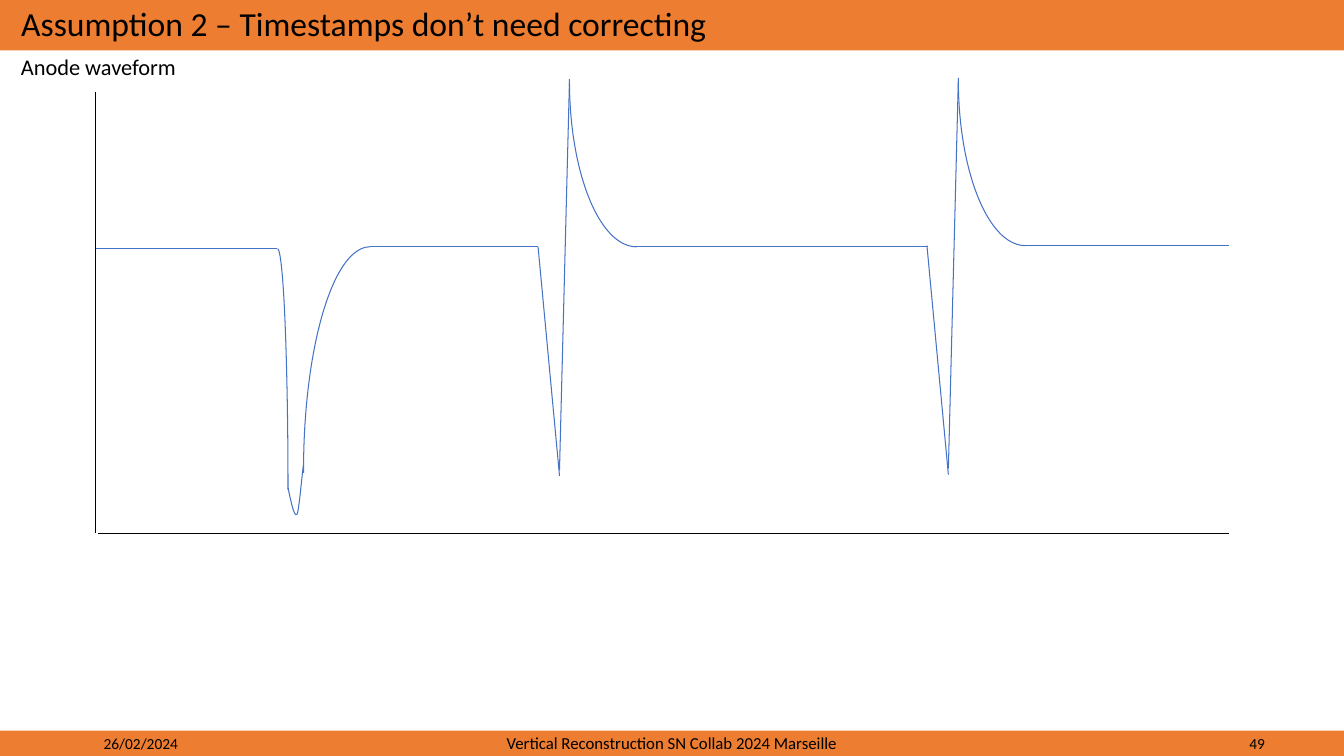
from dataclasses import dataclass

from lxml.etree import SubElement
from pptx import Presentation
from pptx.dml.color import RGBColor
from pptx.enum.shapes import MSO_CONNECTOR, MSO_SHAPE
from pptx.enum.text import MSO_ANCHOR, MSO_AUTO_SIZE, PP_ALIGN
from pptx.oxml.ns import qn
from pptx.util import Cm, Pt


@dataclass(frozen=True)
class Theme:
    font: str = "Calibri"
    bar: RGBColor = RGBColor(0xED, 0x7D, 0x31)
    ink: RGBColor = RGBColor(0, 0, 0)
    wave: RGBColor = RGBColor(0x44, 0x72, 0xC4)
    title_size: int = 24
    label_size: int = 16
    footer_size: int = 12
    small_size: int = 11
    line_width: float = 0.75


THEME = Theme()

# All lengths are in centimetres.
SLIDE_WIDTH, SLIDE_HEIGHT = 33.87, 19.05
TITLE_HEIGHT, FOOTER_HEIGHT = 1.27, 0.64
FOOTER_TOP = SLIDE_HEIGHT - FOOTER_HEIGHT
BARS = [(0, TITLE_HEIGHT), (FOOTER_TOP, FOOTER_HEIGHT)]

TITLE = "Assumption 2 – Timestamps don’t need correcting"
TITLE_BOX = (0.28, 0, 29.21, TITLE_HEIGHT)
LABEL = "Anode waveform"
LABEL_BOX = (0.28, 1.22, 4.47, 0.94)
FOOTERS = [
    ("26/02/2024", 2.36, 7.62, PP_ALIGN.LEFT, THEME.small_size),
    ("Vertical Reconstruction SN Collab 2024 Marseille", 11.22, 11.43,
     PP_ALIGN.CENTER, THEME.footer_size),
    ("49", 24.51, 7.62, PP_ALIGN.RIGHT, THEME.small_size),
]

AXES = [((2.41, 2.31), (2.41, 13.44)), ((30.96, 13.44), (2.46, 13.44))]
BASELINES = [((2.41, 6.27), (6.99, 6.27)), ((9.32, 6.22), (13.56, 6.22))]
FALL_ARC = (6.73, 6.27, 0.53, 12.14)
RECOVERY_ARC = (7.65, 6.22, 3.35, 11.3)
TROUGH_CURVES = [
    [(7.26, 12.29), (7.34, 12.67), (7.42, 13.06), (7.49, 12.95)],
    [(7.49, 12.95), (7.54, 12.85), (7.62, 11.86), (7.65, 11.71)],
]
# Start of each pulse and right end of the baseline that follows it.
PULSES = [(13.56, 6.22, 23.39), (23.36, 6.19, 30.96)]


def box_of(lengths):
    return [Cm(length) for length in lengths]


def format_text(shape, text, size, align=PP_ALIGN.LEFT, anchor=MSO_ANCHOR.MIDDLE):
    frame = shape.text_frame
    frame.text = text
    frame.vertical_anchor = anchor
    paragraph = frame.paragraphs[0]
    paragraph.alignment = align
    font = paragraph.runs[0].font
    font.name, font.size = THEME.font, Pt(size)
    font.color.rgb = THEME.ink
    return frame


def format_line(shape, color):
    shape.line.color.rgb = color
    shape.line.width = Pt(THEME.line_width)


def add_line(shapes, start, end, color=THEME.wave):
    connector = shapes.add_connector(
        MSO_CONNECTOR.STRAIGHT, *box_of(start), *box_of(end))
    format_line(connector, color)
    SubElement(connector._element.spPr, qn("a:effectLst"))


def add_arc(shapes, box, start=270, end=0, rotation=0):
    """Draw an unfilled arc clockwise between two angles in degrees."""
    arc = shapes.add_shape(MSO_SHAPE.ARC, *box_of(box))
    arc.adjustments[0], arc.adjustments[1] = start * 0.6, end * 0.6
    arc.rotation = rotation
    arc.shadow.inherit = False
    arc.fill.background()
    format_line(arc, THEME.wave)


def bezier_point(points, t):
    weights = ((1 - t) ** 3, 3 * t * (1 - t) ** 2, 3 * t ** 2 * (1 - t), t ** 3)
    return tuple(Cm(sum(weight * point[axis] for weight, point in zip(weights, points)))
                 for axis in (0, 1))


def add_trough(shapes, steps=12):
    points = [bezier_point(curve, step / steps)
              for curve in TROUGH_CURVES for step in range(steps + 1)]
    builder = shapes.build_freeform(*points[0])
    builder.add_line_segments(points[1:], close=False)
    trough = builder.convert_to_shape()
    trough.shadow.inherit = False
    trough.fill.background()
    format_line(trough, THEME.wave)


def add_pulse(shapes, left, baseline, tail_end):
    """Draw the sharp dip, the spike, its decay and the flat tail."""
    dip, peak = left + 0.54, left + 0.79
    decay_height = 8.36
    add_line(shapes, (left, baseline), (dip, baseline + 5.77))
    add_line(shapes, (peak, baseline - 4.14), (dip, baseline + 5.62))
    add_arc(shapes, (peak, baseline - decay_height, 3.38, decay_height),
            end=1.6, rotation=180)
    add_line(shapes, (left + 2.42, baseline), (tail_end, baseline))


def add_waveform(slide):
    shapes = slide.shapes.add_group_shape().shapes
    for start, end in BASELINES:
        add_line(shapes, start, end)
    add_arc(shapes, FALL_ARC)
    add_arc(shapes, RECOVERY_ARC, start=178.4, end=270)
    add_trough(shapes)
    for pulse in PULSES:
        add_pulse(shapes, *pulse)
    for start, end in AXES:
        add_line(shapes, start, end, THEME.ink)


def add_frame(slide):
    for top, height in BARS:
        bar = slide.shapes.add_shape(
            MSO_SHAPE.RECTANGLE, *box_of((0, top, SLIDE_WIDTH, height)))
        bar.shadow.inherit = False
        bar.fill.solid()
        bar.fill.fore_color.rgb = THEME.bar
        bar.line.fill.background()

    title = slide.shapes.title
    slide.shapes._spTree.append(title._element)  # bring in front of the bar
    title.left, title.top, title.width, title.height = box_of(TITLE_BOX)
    frame = format_text(title, TITLE, THEME.title_size)
    frame.auto_size = MSO_AUTO_SIZE.NONE
    frame.paragraphs[0].line_spacing = 0.9

    for text, left, width, align, size in FOOTERS:
        footer = slide.shapes.add_textbox(
            *box_of((left, FOOTER_TOP, width, FOOTER_HEIGHT)))
        format_text(footer, text, size, align).word_wrap = True


def main():
    presentation = Presentation()
    presentation.slide_width = Cm(SLIDE_WIDTH)
    presentation.slide_height = Cm(SLIDE_HEIGHT)
    slide = presentation.slides.add_slide(presentation.slide_layouts[5])
    add_frame(slide)
    label = slide.shapes.add_textbox(*box_of(LABEL_BOX))
    frame = format_text(label, LABEL, THEME.label_size, anchor=MSO_ANCHOR.TOP)
    frame.word_wrap = False
    frame.auto_size = MSO_AUTO_SIZE.SHAPE_TO_FIT_TEXT
    add_waveform(slide)
    presentation.save("out.pptx")


if __name__ == "__main__":
    main()
